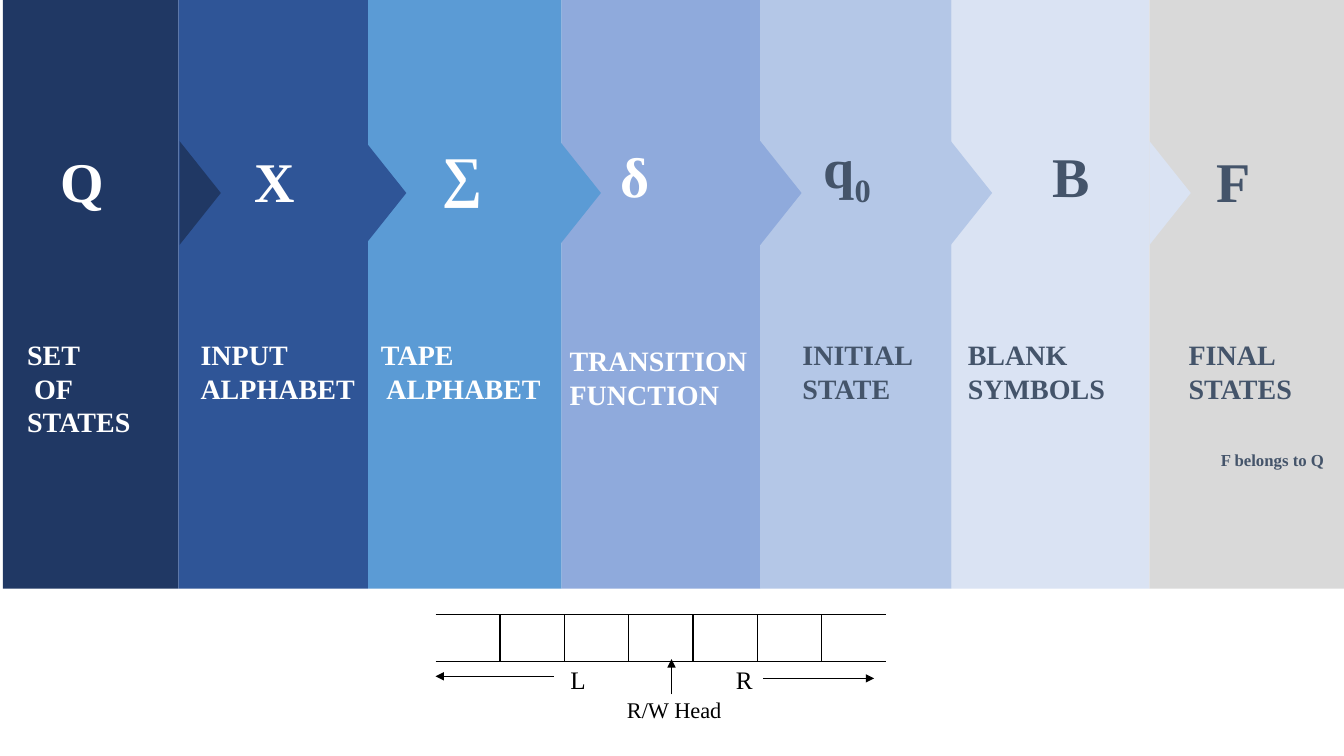
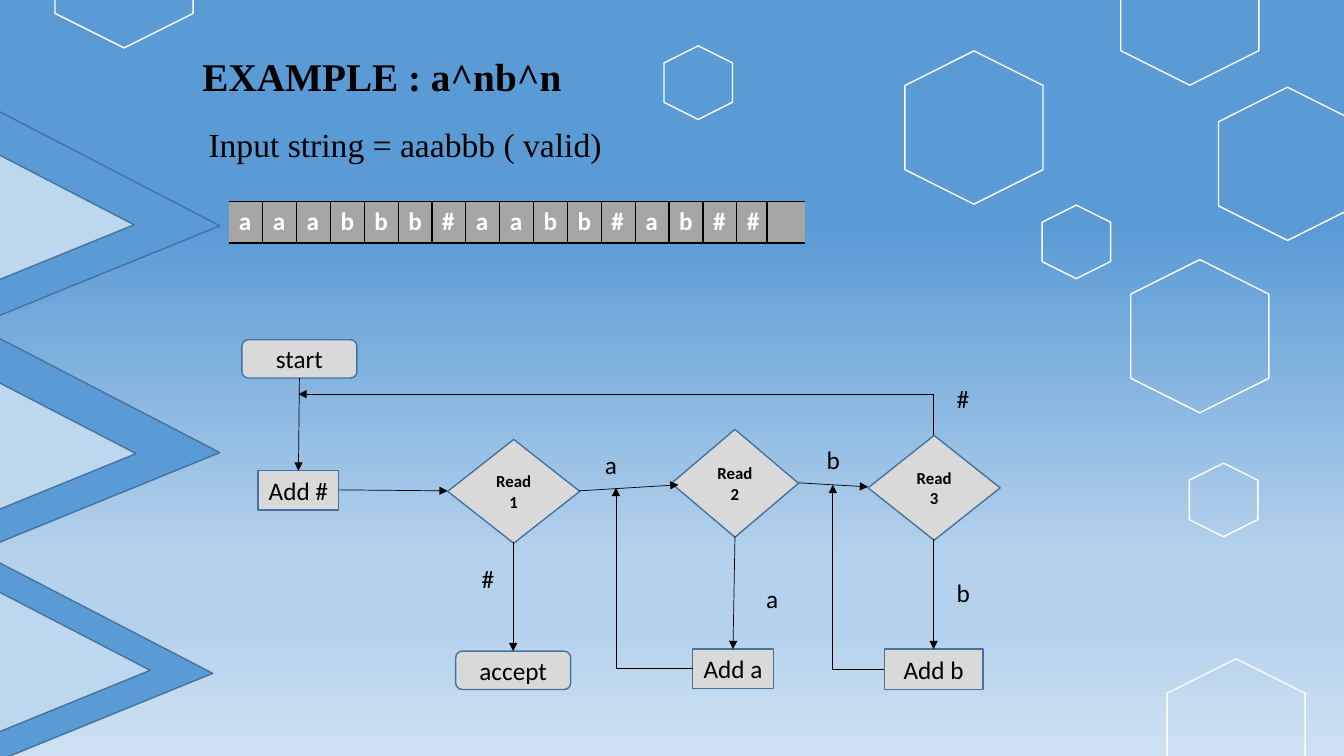
from lxml import etree
from pptx import Presentation
from pptx.dml.color import RGBColor
from pptx.enum.shapes import MSO_CONNECTOR, MSO_SHAPE
from pptx.enum.text import MSO_ANCHOR, PP_ALIGN
from pptx.oxml.ns import qn
from pptx.util import Inches, Pt

RECT, ROUND = MSO_SHAPE.RECTANGLE, MSO_SHAPE.ROUNDED_RECTANGLE
DIAMOND, HEXAGON = MSO_SHAPE.DIAMOND, MSO_SHAPE.HEXAGON
TRIANGLE = MSO_SHAPE.ISOSCELES_TRIANGLE
STRAIGHT, ELBOW = MSO_CONNECTOR.STRAIGHT, MSO_CONNECTOR.ELBOW
CENTER, LEFT = PP_ALIGN.CENTER, PP_ALIGN.LEFT
MIDDLE, TOP = MSO_ANCHOR.MIDDLE, MSO_ANCHOR.TOP

SERIF, SANS = "Times New Roman", "Calibri"
BLACK, WHITE, SLATE = "000000", "FFFFFF", "44546A"
BLUE, PALE_BLUE, OUTLINE = "5B9BD5", "BDD7EE", "43739E"
LIGHT_GRAY, TAPE_GRAY = "D9D9D9", "A5A5A5"


def rgb(color):
    return RGBColor.from_string(color)


def inches(values):
    return [Inches(value) for value in values]


class Deck:
    """Shared style, the presentation and the slide being drawn."""

    base_format = {"name": SERIF, "size": 18, "bold": False, "color": BLACK}

    def __init__(self):
        self.prs = Presentation()
        self.prs.slide_width, self.prs.slide_height = inches((13.33, 7.5))
        self.slide = None

    def new_slide(self):
        self.slide = self.prs.slides.add_slide(self.prs.slide_layouts[6])

    def gradient(self, stops):
        fill = self.slide.background.fill
        fill.gradient()
        fill.gradient_angle = 270
        stop_list = next(self.slide.element.iter(qn("a:gsLst")))
        for old_stop in list(stop_list):
            stop_list.remove(old_stop)
        for percent, color in stops:
            stop = etree.SubElement(stop_list, qn("a:gs"), pos=str(percent * 1000))
            etree.SubElement(stop, qn("a:srgbClr"), val=color)

    def style(self, font, **changes):
        values = {**self.base_format, **changes}
        font.color.rgb = rgb(values.pop("color"))
        values["size"] = Pt(values["size"])
        for name, value in values.items():
            setattr(font, name, value)

    def fill_frame(self, frame, text, align=LEFT, anchor=TOP, subscript="", **changes):
        frame.word_wrap = True
        frame.vertical_anchor = anchor
        for index, line in enumerate(text.split("\n")):
            paragraph = frame.add_paragraph() if index else frame.paragraphs[0]
            paragraph.alignment = align
            for part in filter(None, (line, subscript)):
                run = paragraph.add_run()
                run.text = part
                self.style(run.font, **changes)
        if subscript:
            run.font._element.set("baseline", "-25000")

    def text(self, box, text, **changes):
        frame = self.slide.shapes.add_textbox(*inches(box)).text_frame
        self.fill_frame(frame, text, **changes)

    def shape(self, kind, box, fill=None, line=None, rotation=0, text="", **changes):
        shape = self.slide.shapes.add_shape(kind, *inches(box))
        shape.shadow.inherit = False
        shape.rotation = rotation
        if fill:
            shape.fill.solid()
            shape.fill.fore_color.rgb = rgb(fill)
        else:
            shape.fill.background()
        if line:
            shape.line.color.rgb = rgb(line)
            shape.line.width = Pt(1)
        else:
            shape.line.fill.background()
        if text:
            self.fill_frame(shape.text_frame, text, CENTER, MIDDLE, **changes)
        return shape

    def arrow(self, start, end, kind=STRAIGHT, arrow_end="tailEnd"):
        """Elbows leave the start horizontally and reach the end vertically."""
        connector = self.slide.shapes.add_connector(kind, *inches(start + end))
        connector.line.color.rgb = rgb(BLACK)
        connector.line.width = Pt(0.5)
        properties = connector._element.spPr
        if kind == ELBOW:
            properties.find(qn("a:prstGeom")).set("prst", "bentConnector2")
        etree.SubElement(properties.find(qn("a:ln")), qn(f"a:{arrow_end}"), type="triangle")
        etree.SubElement(properties, qn("a:effectLst"))

    def tape(self, box, widths, symbols, fill=None, **changes):
        """One-row table, open at its left and right ends."""
        table = self.slide.shapes.add_table(1, len(widths), *inches(box)).table
        table.first_row = table.horz_banding = False
        table.rows[0].height = Inches(box[3])
        last = len(widths) - 1
        for index, (width, symbol) in enumerate(zip(widths, symbols)):
            table.columns[index].width = Inches(width)
            cell = table.cell(0, index)
            if fill:
                cell.fill.solid()
                cell.fill.fore_color.rgb = rgb(fill)
            else:
                cell.fill.background()
            if symbol:
                self.fill_frame(cell.text_frame, symbol, **changes)
            sides = {"L": index > 0, "R": index < last, "T": True, "B": True}
            for place, (side, visible) in enumerate(sides.items()):
                self.border(cell, side, place, visible)

    def border(self, cell, side, place, visible):
        edge = etree.Element(qn(f"a:ln{side}"), w=str(int(Pt(1))))
        paint = etree.SubElement(edge, qn("a:solidFill" if visible else "a:noFill"))
        if visible:
            etree.SubElement(paint, qn("a:srgbClr"), val=BLACK)
        cell._tc.get_or_add_tcPr().insert(place, edge)


def seven_tuple(deck):
    deck.new_slide()

    # Vertical bands: left edge, fill
    bands = [(0.03, "203864"), (1.77, "2F5597"), (3.65, BLUE), (5.57, "8FAADC"),
             (7.54, "B4C7E7"), (9.44, "DAE3F3"), (11.4, LIGHT_GRAY)]
    right_edges = [left for left, _ in bands[1:]] + [13.33]
    for (left, fill), right in zip(bands, right_edges):
        deck.shape(RECT, (left, 0, right - left, 5.84), fill)

    # Pointers from each band into the next
    pointer_lefts = [1.47, 3.31, 5.24, 7.23, 9.12, 11.09]
    for left, (_, fill) in zip(pointer_lefts, bands):
        deck.shape(TRIANGLE, (left, 1.71, 1.03, 0.41), fill, rotation=90)

    # Symbols: left, top, symbol, subscript, colour
    for left, top, symbol, subscript, color in [
            (0.5, 1.4, "Q", "", WHITE), (2.43, 1.4, "X", "", WHITE),
            (4.29, 1.35, "∑", "", WHITE), (6.06, 1.36, "δ", "", WHITE),
            (8.07, 1.27, "q", "0", SLATE), (10.34, 1.36, "B", "", SLATE),
            (11.97, 1.4, "F", "", SLATE)]:
        deck.text((left, top, 1.04, 0.77), symbol, subscript=subscript,
                  size=40, bold=True, color=color)

    # Meanings: left, top, width, words, colour
    for left, top, width, words, color in [
            (0.17, 3.3, 1.39, "SET\n OF STATES", WHITE),
            (1.89, 3.3, 1.75, "INPUT ALPHABET", WHITE),
            (3.68, 3.3, 1.85, "TAPE\n ALPHABET", WHITE),
            (5.55, 3.36, 2.02, "TRANSITION FUNCTION", WHITE),
            (7.86, 3.3, 1.35, "INITIAL STATE", SLATE),
            (9.5, 3.3, 1.65, "BLANK SYMBOLS", SLATE),
            (11.69, 3.3, 1.47, "FINAL STATES", SLATE)]:
        deck.text((left, top, width, 0.77), words, size=20, bold=True, color=color)
    deck.text((12.01, 4.41, 1.3, 0.3), "F belongs to Q", size=12, bold=True, color=SLATE)

    # Tape with its read/write head
    deck.tape((4.32, 6.1, 4.47, 0.46), [4.47 / 7] * 7, [""] * 7)
    deck.text((5.56, 6.54, 0.4, 0.4), "L")
    deck.text((7.2, 6.54, 0.4, 0.4), "R")
    deck.text((6.12, 6.86, 1.3, 0.37), "R/W Head", size=16)
    for start, end in [((7.57, 6.73), (8.67, 6.73)), ((5.49, 6.71), (4.32, 6.71)),
                       ((6.66, 6.89), (6.66, 6.54))]:
        deck.arrow(start, end)


def example(deck):
    deck.new_slide()
    deck.gradient([(0, BLUE), (30, BLUE), (74, "B5D2EC"), (83, "B5D2EC"), (100, "CEE1F2")])

    # Hexagons: size, then positions
    hexagons = {
        (1.52, 1.37): [(11.04, -0.6), (12.01, 0.94), (8.9, 0.58),
                       (11.14, 2.65), (11.5, 6.61), (0.47, -0.97)],
        (0.73, 0.68): [(11.77, 4.62), (6.56, 0.48), (10.31, 2.06)],
    }
    for size, positions in hexagons.items():
        for position in positions:
            deck.shape(HEXAGON, position + size, line=WHITE, rotation=90)

    # Arrowheads at the left edge
    arrowheads = {BLUE: [(-0.23, 5.33), (-0.16, 3.14), (-0.16, 0.89)],
                  PALE_BLUE: [(-0.85, 5.3), (-0.99, 3.15), (-1.01, 0.88)]}
    for fill, positions in arrowheads.items():
        for position in positions:
            head = deck.shape(TRIANGLE, position + (2.25, 2.43), fill, OUTLINE, 90)
            head.adjustments[0] = 0.56

    # Title, input and tape
    deck.text((1.91, 0.47, 4.49, 0.57), "EXAMPLE : a^nb^n", size=28, bold=True)
    deck.text((1.97, 1.18, 5.87, 0.81), "Input string = aaabbb ( valid)", size=24)
    deck.tape((2.27, 2, 5.72, 0.41), [5.04 / 15] * 15 + [0.3, 0.38],
              list("aaabbb#aabb#ab##") + [""], TAPE_GRAY,
              name=SANS, bold=True, color=WHITE)

    # Flowchart steps
    for kind, box, step in [
            (ROUND, (2.4, 3.37, 1.14, 0.38), "start"),
            (RECT, (2.56, 4.67, 0.8, 0.39), "Add #"),
            (DIAMOND, (4.44, 4.36, 1.31, 1.03), "Read 1"),
            (DIAMOND, (6.66, 4.26, 1.26, 1.07), "Read 2"),
            (DIAMOND, (8.61, 4.32, 1.31, 1.04), "Read 3"),
            (ROUND, (4.52, 6.46, 1.14, 0.38), "accept"),
            (RECT, (6.87, 6.44, 0.8, 0.39), "Add a"),
            (RECT, (8.77, 6.44, 0.98, 0.4), "Add b")]:
        is_read = kind == DIAMOND
        deck.shape(kind, box, LIGHT_GRAY, OUTLINE, text=step, name=SANS,
                   size=12 if is_read else 18, bold=is_read)

    # Flow between steps
    for start, end in [
            ((2.97, 3.75), (2.96, 4.67)), ((3.36, 4.86), (4.44, 4.87)),
            ((5.74, 4.87), (6.73, 4.81)), ((7.92, 4.79), (8.61, 4.83)),
            ((5.09, 5.38), (5.09, 6.46)), ((7.29, 5.32), (7.27, 6.44)),
            ((9.26, 5.35), (9.26, 6.44))]:
        deck.arrow(start, end)

    # Loops back
    deck.arrow((2.96, 3.91), (9.26, 4.32), ELBOW, "headEnd")
    deck.arrow((8.77, 6.64), (8.26, 4.81), ELBOW)
    deck.arrow((6.87, 6.63), (6.11, 4.84), ELBOW)

    # Symbols read on each branch
    for left, top, symbol in [(5.9, 4.41, "a"), (8.1, 4.36, "b"), (9.39, 3.75, "#"),
                              (4.68, 5.54, "#"), (7.5, 5.74, "a"), (9.39, 5.68, "b")]:
        deck.text((left, top, 0.4, 0.4), symbol, name=SANS)


def main():
    deck = Deck()
    seven_tuple(deck)
    example(deck)
    deck.prs.save("out.pptx")


if __name__ == "__main__":
    main()
